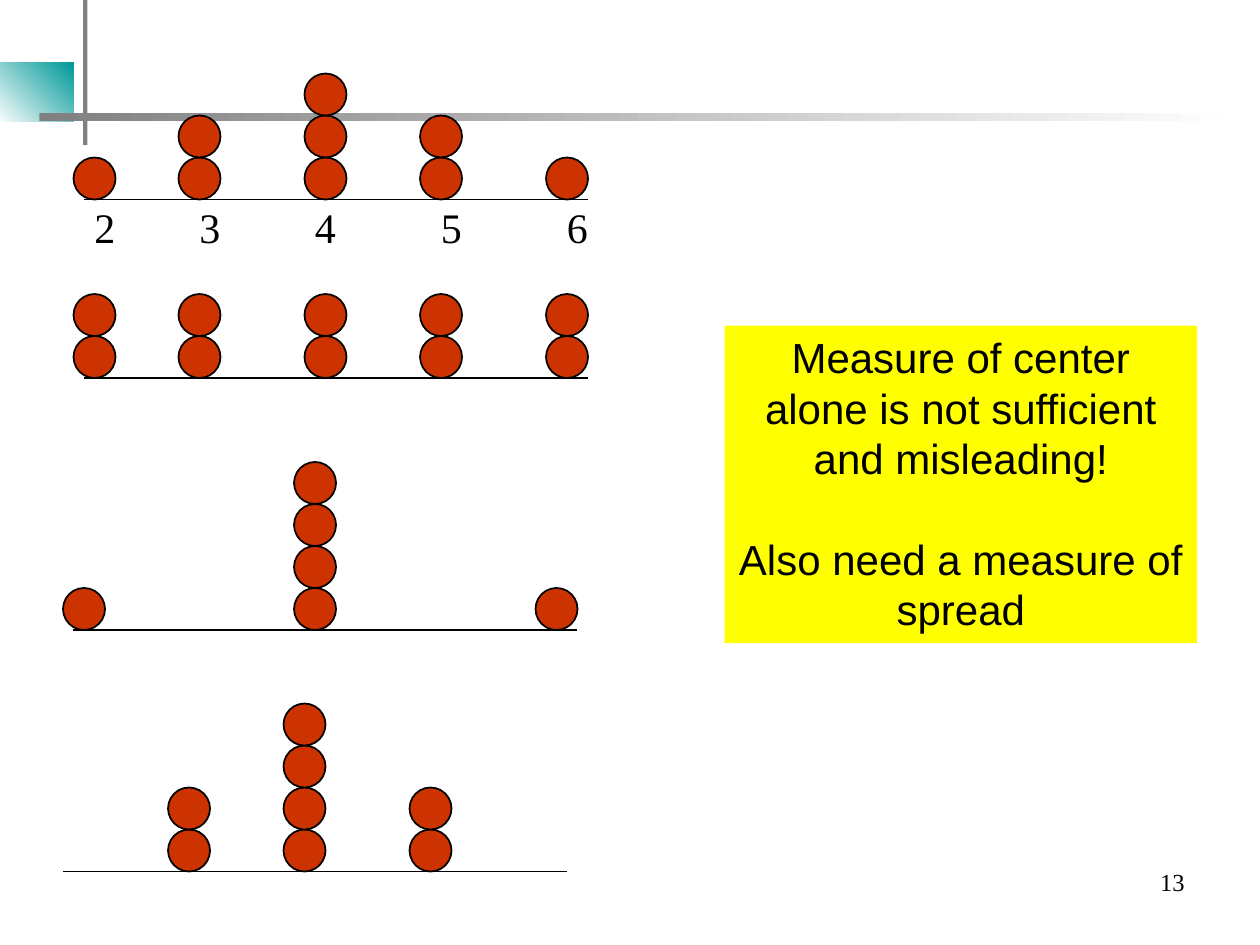
from lxml import etree
from pptx import Presentation
from pptx.dml.color import RGBColor
from pptx.enum.shapes import MSO_CONNECTOR, MSO_SHAPE
from pptx.enum.text import MSO_ANCHOR, PP_ALIGN
from pptx.oxml.ns import qn
from pptx.util import Pt

RECT, OVAL = MSO_SHAPE.RECTANGLE, MSO_SHAPE.OVAL
STRAIGHT = MSO_CONNECTOR.STRAIGHT
LEFT, CENTER, RIGHT = PP_ALIGN.LEFT, PP_ALIGN.CENTER, PP_ALIGN.RIGHT
TOP = MSO_ANCHOR.TOP

BLACK, WHITE, GRAY, TEAL = "000000", "FFFFFF", "808080", "009999"
RED, YELLOW = "CC3300", "FFFF00"
DOT = 24
AXIS_LENGTH = 288

# Each plot: axis start, baseline, and (dot left, dot count) for each stack.
PLOTS = [
    (48, 114, [(42, 1), (102, 2), (174, 3), (240, 2), (312, 1)]),
    (48, 216, [(42, 2), (102, 2), (174, 2), (240, 2), (312, 2)]),
    (42, 360, [(36, 1), (168, 4), (306, 1)]),
    (36, 498, [(96, 2), (162, 4), (234, 2)]),
]


def rgb(color):
    """Turn a hex string into a colour."""
    return RGBColor.from_string(color)


def add_shape(slide, kind, x, y, w, h, fill=None, line=None):
    """Add a preset shape with an optional solid fill and outline."""
    s = slide.shapes.add_shape(kind, Pt(x), Pt(y), Pt(w), Pt(h))
    s.shadow.inherit = False
    if fill:
        s.fill.solid()
        s.fill.fore_color.rgb = rgb(fill)
    if line:
        s.line.color.rgb = rgb(line)
        s.line.width = Pt(1)
    else:
        s.line.fill.background()
    return s


def add_gradient(slide, x, y, w, h, colors, angle):
    """Add a rectangle with a two-colour linear gradient."""
    s = add_shape(slide, RECT, x, y, w, h)
    s.fill.gradient()
    s.fill.gradient_angle = angle
    for stop, color in zip(s.fill.gradient_stops, colors):
        stop.color.rgb = rgb(color)


def add_axis(slide, x, y):
    """Add a horizontal axis line."""
    s = slide.shapes.add_connector(STRAIGHT, Pt(x), Pt(y), Pt(x + AXIS_LENGTH), Pt(y))
    s.line.color.rgb = rgb(BLACK)
    s.line.width = Pt(1)
    etree.SubElement(s._element.spPr, qn("a:effectLst"))


def add_dot_plot(slide, start, base, stacks):
    """Add an axis with stacks of dots standing on it."""
    add_axis(slide, start, base)
    for x, count in stacks:
        for level in range(1, count + 1):
            add_shape(slide, OVAL, x, base - level * DOT, DOT, DOT, RED, BLACK)


def set_text(s, text, size, font, align):
    """Write text into a shape and format every paragraph."""
    tf = s.text_frame
    tf.word_wrap = True
    tf.vertical_anchor = TOP
    tf.text = text
    for p in tf.paragraphs:
        p.alignment = align
        for r in p.runs:
            r.font.size = Pt(size)
            r.font.name = font
            r.font.color.rgb = rgb(BLACK)
    return tf


def add_text(slide, x, y, w, h, text, size, align):
    """Add a serif text box."""
    s = slide.shapes.add_textbox(Pt(x), Pt(y), Pt(w), Pt(h))
    return set_text(s, text, size, "Times New Roman", align)


def set_tabs(p, positions):
    """Give a paragraph left tab stops."""
    tabs = etree.SubElement(p._p.get_or_add_pPr(), qn("a:tabLst"))
    for position in positions:
        etree.SubElement(tabs, qn("a:tab"), pos=str(Pt(position)), algn="l")


def add_message(slide):
    """Add the yellow message box."""
    s = add_shape(slide, RECT, 414, 186, 270, 181.5, YELLOW)
    text = ("Measure of center alone is not sufficient and misleading!\n"
            "Also need a measure of spread")
    tf = set_text(s, text, 24, "Arial", CENTER)
    for p in tf.paragraphs:
        p.line_spacing = Pt(28.8)
    tf.paragraphs[1].space_before = Pt(28.8)


def main():
    """Build the slide and save it."""
    prs = Presentation()
    prs.slide_width, prs.slide_height = Pt(720), Pt(540)
    slide = prs.slides.add_slide(prs.slide_layouts[6])
    add_gradient(slide, -2, 36, 44, 33.5, (WHITE, TEAL), 45)
    add_shape(slide, RECT, 47.5, 0, 2.5, 83, GRAY)
    add_gradient(slide, 22.5, 64.5, 684.5, 4.5, (GRAY, WHITE), 0)
    add_text(slide, 516, 492, 168, 37.5, "13", 14, RIGHT)
    for plot in PLOTS:
        add_dot_plot(slide, *plot)
    tf = add_text(slide, 46.8, 111.6, 313, 36, "2\t3\t4\t5\t6", 24, LEFT)
    set_tabs(tf.paragraphs[0], (60, 126, 198, 270))
    add_message(slide)
    prs.save("out.pptx")


if __name__ == "__main__":
    main()
